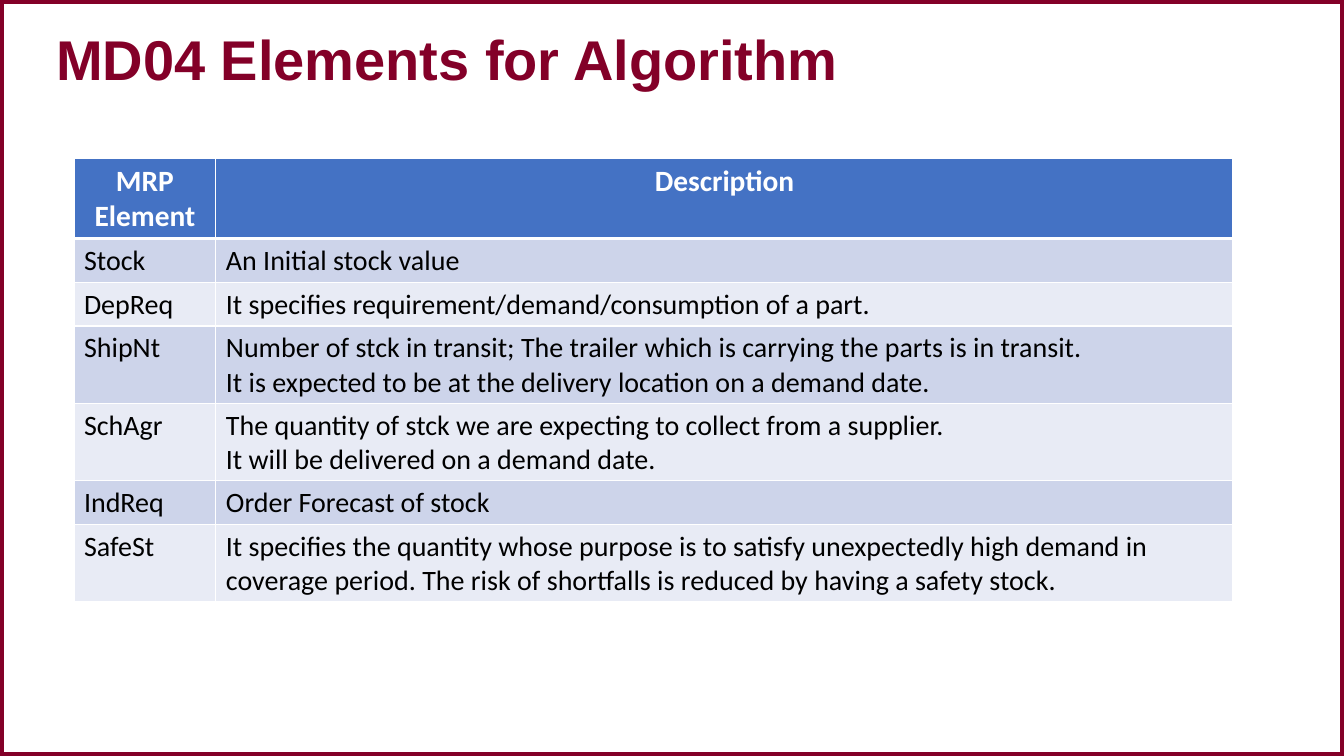
"""Build the slide that explains the MD04 elements in a table."""
from dataclasses import dataclass

from lxml.etree import SubElement
from pptx import Presentation
from pptx.dml.color import RGBColor
from pptx.enum.shapes import MSO_SHAPE
from pptx.enum.text import MSO_ANCHOR, PP_ALIGN
from pptx.oxml.ns import qn
from pptx.slide import Slide
from pptx.table import Table, _Cell
from pptx.text.text import TextFrame
from pptx.util import Emu, Pt

WIDTH, HEIGHT = 12192000, 6858000
WINE, BLUE, WHITE, BLACK = "830028", "4472C4", "FFFFFF", "000000"
BANDS = ("CDD4EA", "E8EBF5")
COLS = (1.69, 12.11)
HEAD = ("MRP Element", "Description")


@dataclass(frozen=True)
class Item:
    name: str
    text: str
    lines: int = 1


ITEMS = (
    Item("Stock", "An Initial stock value"),
    Item("DepReq", "It specifies requirement/demand/consumption of a part."),
    Item("ShipNt", "Number of stck in transit; The trailer which is carrying the parts is in transit.\n"
         "It is expected to be at the delivery location on a demand date.", 2),
    Item("SchAgr", "The quantity of stck we are expecting to collect from a supplier.\n"
         "It will be delivered on a demand date.", 2),
    Item("IndReq", "Order Forecast of stock"),
    Item("SafeSt", "It specifies the quantity whose purpose is to satisfy unexpectedly high demand in "
         "coverage period. The risk of shortfalls is reduced by having a safety stock.", 2),
)


def col(count: float) -> Emu:
    return Emu(round(count * WIDTH / 16))


def row(count: float) -> Emu:
    return Emu(round(count * HEIGHT / 9))


def color(code: str) -> RGBColor:
    return RGBColor.from_string(code)


def write(frame: TextFrame, text: str, *, size: float, ink: str = BLACK, font: str = "Calibri",
          bold: bool = False, align: PP_ALIGN = PP_ALIGN.LEFT, space: float = 1.0) -> None:
    frame.word_wrap = True
    frame.text = text
    for para in frame.paragraphs:
        para.alignment = align
        para.line_spacing = space
        for run in para.runs:
            run.font.name = font
            run.font.size = Pt(size)
            run.font.bold = bold
            run.font.color.rgb = color(ink)


def paint(cell: _Cell, fill: str, top: float = 1, base: float = 1) -> None:
    props = cell._tc.get_or_add_tcPr()
    for side, width in (("L", 1), ("R", 1), ("T", top), ("B", base)):
        line = SubElement(props, qn(f"a:ln{side}"), w=str(Pt(width)))
        solid = SubElement(line, qn("a:solidFill"))
        SubElement(solid, qn("a:srgbClr"), val=WHITE)
    cell.fill.solid()
    cell.fill.fore_color.rgb = color(fill)


def draw_frame(slide: Slide) -> None:
    frame = slide.shapes.add_shape(MSO_SHAPE.RECTANGLE, 0, 0, col(16), row(9))
    frame.shadow.inherit = False
    frame.fill.background()
    frame.line.color.rgb = color(WINE)
    frame.line.width = Pt(6)


def draw_title(slide: Slide) -> None:
    box = slide.shapes.add_textbox(col(0.55), row(0.18), col(14.92), row(1.12))
    box.text_frame.vertical_anchor = MSO_ANCHOR.MIDDLE
    write(box.text_frame, "MD04 Elements for Algorithm", size=40, ink=WINE,
          font="Arial", bold=True, space=0.9)


def fill_head(table: Table) -> None:
    table.rows[0].height = row(0.96)
    for cell, text in zip(table.rows[0].cells, HEAD):
        write(cell.text_frame, text, size=21, ink=WHITE, bold=True, align=PP_ALIGN.CENTER)
        paint(cell, BLUE, base=3)


def fill_item(table: Table, index: int, item: Item) -> None:
    line = table.rows[index + 1]
    line.height = row(0.12 + 0.4 * item.lines)
    for cell, text in zip(line.cells, (item.name, item.text)):
        write(cell.text_frame, text, size=20)
        paint(cell, BANDS[index % 2], top=1 if index else 3)


def draw_table(slide: Slide) -> None:
    high = 0.96 + sum(0.12 + 0.4 * item.lines for item in ITEMS)
    table = slide.shapes.add_table(len(ITEMS) + 1, len(COLS), col(0.88), row(1.88),
                                   col(sum(COLS)), row(high)).table
    for column, width in zip(table.columns, COLS):
        column.width = col(width)
    fill_head(table)
    for index, item in enumerate(ITEMS):
        fill_item(table, index, item)


def main() -> None:
    deck = Presentation()
    deck.slide_width, deck.slide_height = Emu(WIDTH), Emu(HEIGHT)
    slide = deck.slides.add_slide(deck.slide_layouts[6])
    draw_frame(slide)
    draw_title(slide)
    draw_table(slide)
    deck.save("out.pptx")


if __name__ == "__main__":
    main()
